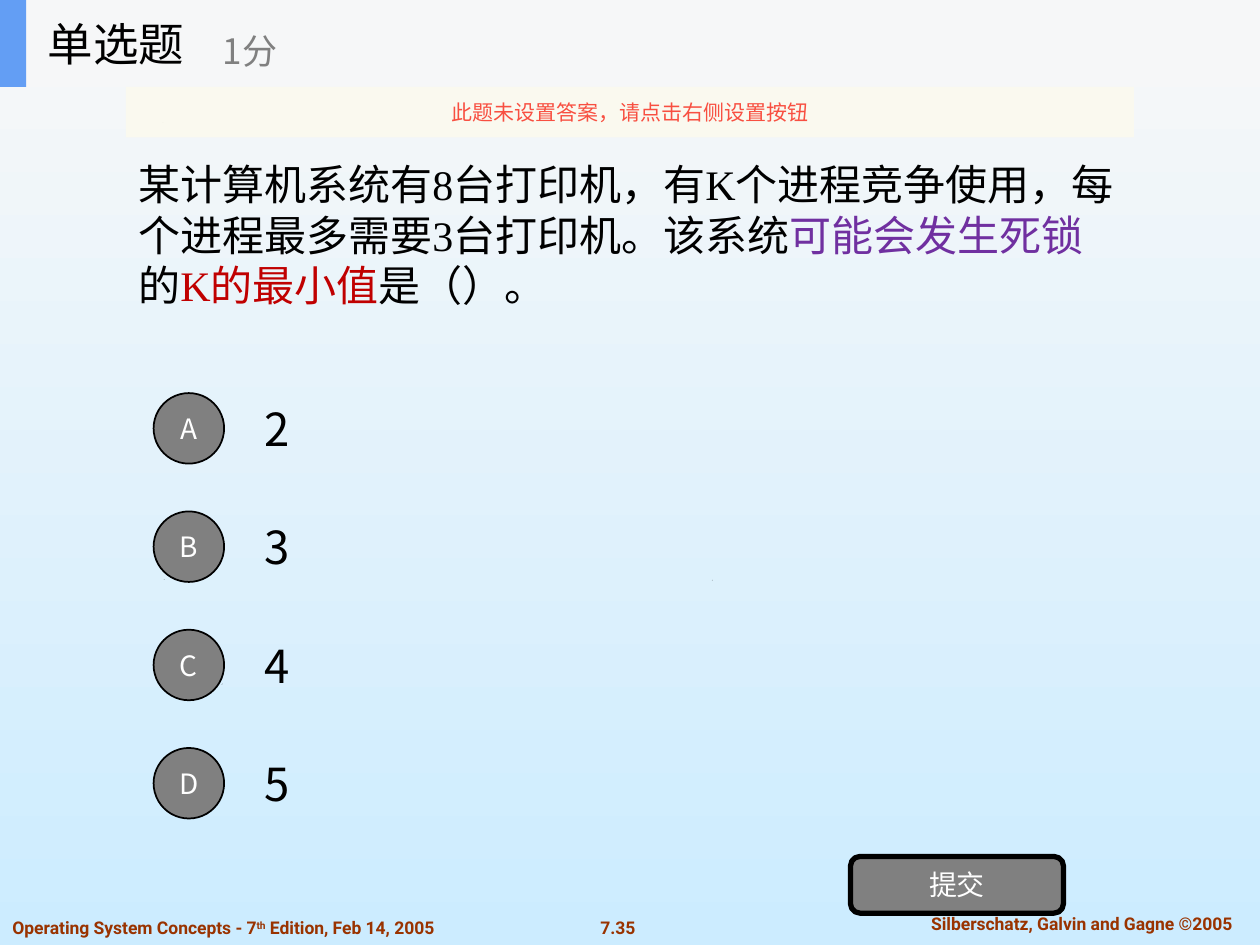
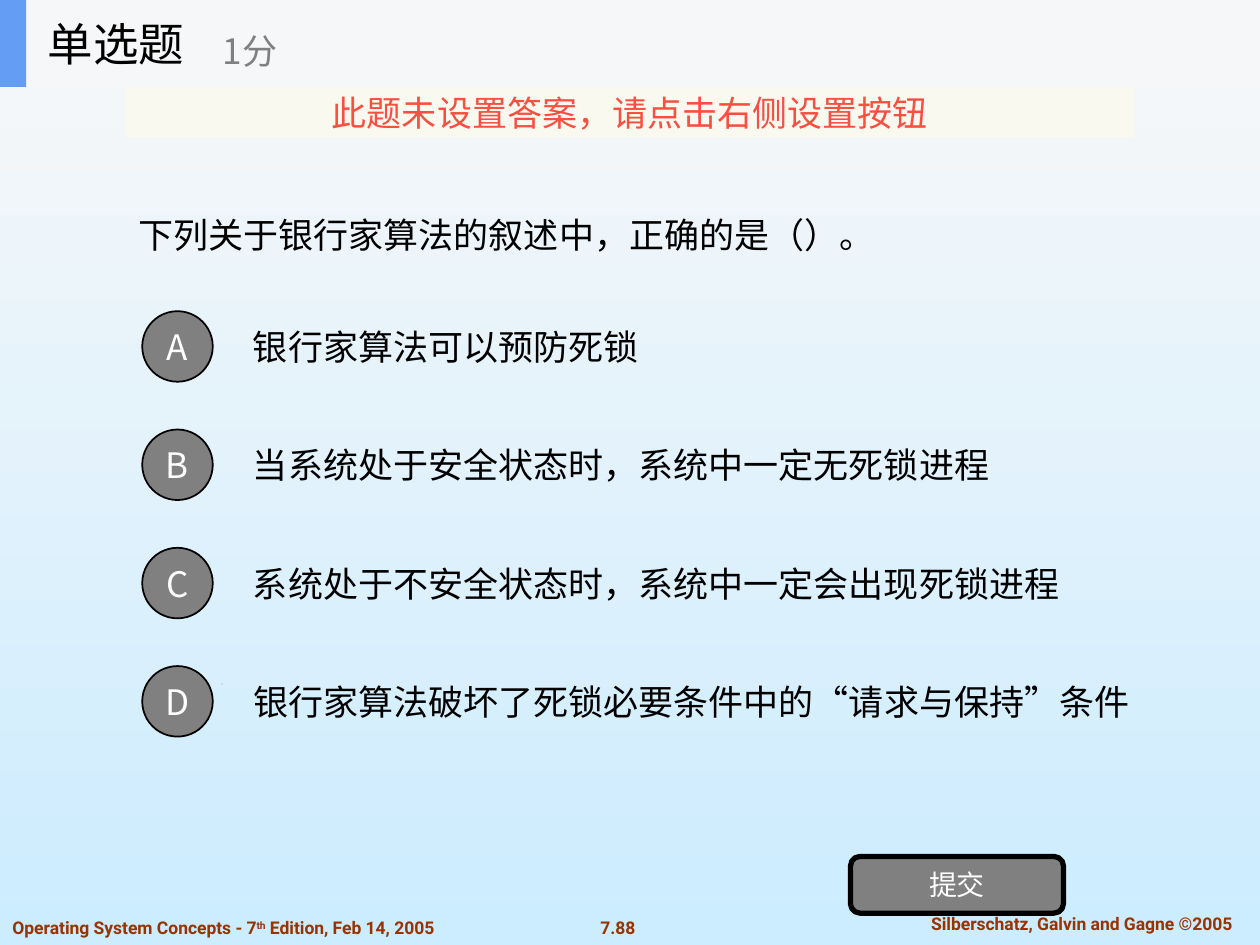
from lxml import etree
from pptx import Presentation
from pptx import util as u
from pptx.dml.color import RGBColor
from pptx.enum import shapes, text
from pptx.oxml.ns import qn

BLACK = RGBColor(0x00, 0x00, 0x00)
WHITE = RGBColor(0xFF, 0xFF, 0xFF)
GRAY = RGBColor(0x80, 0x80, 0x80)
SKY_TOP = RGBColor(0xF8, 0xF8, 0xF8)
SKY_BOTTOM = RGBColor(0xCC, 0xEC, 0xFF)
BAND = RGBColor(0xF6, 0xF7, 0xF8)
ACCENT = RGBColor(0x63, 0x9E, 0xF4)
NOTICE_FILL = RGBColor(0xFB, 0xFA, 0xEF)
NOTICE_TEXT = RGBColor(0xF8, 0x4F, 0x41)
FOOTER = RGBColor(0x99, 0x33, 0x00)
PURPLE = RGBColor(0x70, 0x30, 0xA0)
RED = RGBColor(0xC0, 0x00, 0x00)

SANS = "Noto Sans CJK SC"
SERIF = "Times New Roman"
FOOTER_FONT = "Roboto"

LEFT, CENTER = text.PP_ALIGN.LEFT, text.PP_ALIGN.CENTER
TOP, MIDDLE = text.MSO_ANCHOR.TOP, text.MSO_ANCHOR.MIDDLE
RECT = shapes.MSO_SHAPE.RECTANGLE
OVAL = shapes.MSO_SHAPE.OVAL
ROUNDED = shapes.MSO_SHAPE.ROUNDED_RECTANGLE

HEADER_HEIGHT = 49.7
BUBBLE = 40.3
OPTION_HEIGHT = 50.4
OPTION_PITCH = 67.6
OPTION_INDENT = 56.2
SPECKS = [(126.7, 391), (93.6, 331.2), (406.8, 331.6), (92.9, 70.2)]


class QuizDeck:
    def __init__(self):
        self.prs = Presentation()
        self.prs.slide_width, self.prs.slide_height = u.Pt(720), u.Pt(540)
        sky = self.prs.slide_master.background.fill
        sky.gradient()
        sky.gradient_angle = 270
        for stop, color in zip(sky.gradient_stops, (SKY_TOP, SKY_BOTTOM)):
            stop.color.rgb = color
        self.slide = None

    def set_text(self, shape, runs, size, color=BLACK, font=SANS, align=LEFT,
                 anchor=MIDDLE, wrap=True, bold=False):
        frame = shape.text_frame
        frame.auto_size = text.MSO_AUTO_SIZE.NONE
        frame.word_wrap = wrap
        frame.vertical_anchor = anchor
        paragraph = frame.paragraphs[0]
        paragraph.alignment = align
        paragraph.font.size = u.Pt(size)
        paragraph.font.bold = bold
        paragraph.font.color.rgb = color
        paragraph.font.name = font
        defaults = paragraph._p.pPr.find(qn("a:defRPr"))
        etree.SubElement(defaults, qn("a:ea")).set("typeface", SANS)
        for words, run_color in runs:
            run = paragraph.add_run()
            run.text = words
            if run_color is not None:
                run.font.color.rgb = run_color
        return paragraph

    def label(self, box, words, size, **style):
        runs = [(words, None)] if isinstance(words, str) else words
        area = self.slide.shapes.add_textbox(*map(u.Pt, box))
        return self.set_text(area, runs, size, **style)

    def block(self, kind, box, fill, border=0):
        shape = self.slide.shapes.add_shape(kind, *map(u.Pt, box))
        shape.shadow.inherit = False
        shape.fill.solid()
        shape.fill.fore_color.rgb = fill
        if border:
            shape.line.color.rgb = BLACK
            shape.line.width = u.Pt(border)
        else:
            shape.line.fill.background()
        return shape

    def button(self, kind, box, words, size, border):
        shape = self.block(kind, box, GRAY, border)
        self.set_text(shape, [(words, None)], size, WHITE, align=CENTER, wrap=False)

    def speck(self, x, y):
        outline = self.slide.shapes.build_freeform(u.Pt(x), u.Pt(y))
        outline.add_line_segments([(u.Pt(x + 0.5), u.Pt(y - 0.3)), (u.Pt(x + 0.2), u.Pt(y))])
        mark = outline.convert_to_shape()
        mark.shadow.inherit = False
        mark.fill.solid()
        mark.fill.fore_color.rgb = BLACK
        mark.line.fill.background()

    def footer(self, number):
        style = dict(color=FOOTER, font=FOOTER_FONT, anchor=TOP, bold=True)
        self.label((334, 520.6, 38.2, 19.4), number, 10, align=CENTER, wrap=False, **style)
        self.label((511.2, 518.4, 213.8, 19.4), "Silberschatz, Galvin and Gagne ©2005",
                   10, align=CENTER, **style)
        edition = self.label((0, 520.6, 301.7, 19.4),
                             [("Operating System Concepts - 7", None), ("th", None),
                              (" Edition, Feb 14, 2005", None)], 10, **style)
        edition.runs[1].font._element.set("baseline", "30000")

    def header(self):
        self.block(RECT, (0, 0, 720, HEADER_HEIGHT), BAND)
        self.block(RECT, (0, 0, 15, HEADER_HEIGHT), ACCENT)
        title = self.slide.shapes.title
        title.left, title.top, title.width, title.height = map(
            u.Pt, (20.2, 0, 149.8, HEADER_HEIGHT))
        self.set_text(title, [("单选题", None)], 26)
        title.element.getparent().append(title.element)
        self.label((120.2, 8.6, 180, 40.3), "1分", 20, color=GRAY)

    def notice(self, size):
        strip = self.block(RECT, (72, HEADER_HEIGHT, 576, 28.8), NOTICE_FILL)
        tint = strip.element.spPr.find(".//" + qn("a:srgbClr"))
        etree.SubElement(tint, qn("a:alpha")).set("val", "90000")
        self.set_text(strip, [("此题未设置答案，请点击右侧设置按钮", None)], size,
                      NOTICE_TEXT, align=CENTER, wrap=False)

    def options(self, left, first_middle, answers, answer_size, letter_size):
        for row, (letter, answer) in enumerate(zip("ABCD", answers)):
            middle = first_middle + row * OPTION_PITCH
            width = 541 if len(answer) > 24 else 504
            self.label((left + OPTION_INDENT, middle - OPTION_HEIGHT / 2, width, OPTION_HEIGHT),
                       answer, answer_size)
            self.button(OVAL, (left, middle - BUBBLE / 2, BUBBLE, BUBBLE),
                        letter, letter_size, 1)

    def question(self, number, stem, stem_size, stem_font, notice_size, **options):
        self.slide = self.prs.slides.add_slide(self.prs.slide_layouts[5])
        self.footer(number)
        for x, y in SPECKS:
            self.speck(x, y)
        self.label((72, HEADER_HEIGHT, 576, 168.5), stem, stem_size, font=stem_font)
        self.options(**options)
        self.button(ROUNDED, (486, 489.4, 121.7, 32.4), "提交", 16, 3)
        self.header()
        self.notice(notice_size)


def main():
    deck = QuizDeck()
    deck.question(
        "7.35",
        [("某计算机系统有8台打印机，有K个进程竞争使用，每个进程最多需要3台打印机。该系统", BLACK),
         ("可能会发生死锁", PURPLE), ("的", BLACK), ("K的最小值", RED), ("是（）。", BLACK)],
        24, SERIF, 12,
        left=87.8, first_middle=244.8, answers=["2", "3", "4", "5"],
        answer_size=26, letter_size=16)
    deck.question(
        "7.88", "下列关于银行家算法的叙述中，正确的是（）。", 20, SANS, 20,
        left=81.3, first_middle=198,
        answers=["银行家算法可以预防死锁",
                 "当系统处于安全状态时，系统中一定无死锁进程",
                 "系统处于不安全状态时，系统中一定会出现死锁进程",
                 "银行家算法破坏了死锁必要条件中的“请求与保持”条件"],
        answer_size=20, letter_size=20)
    deck.prs.save("out.pptx")


if __name__ == "__main__":
    main()
